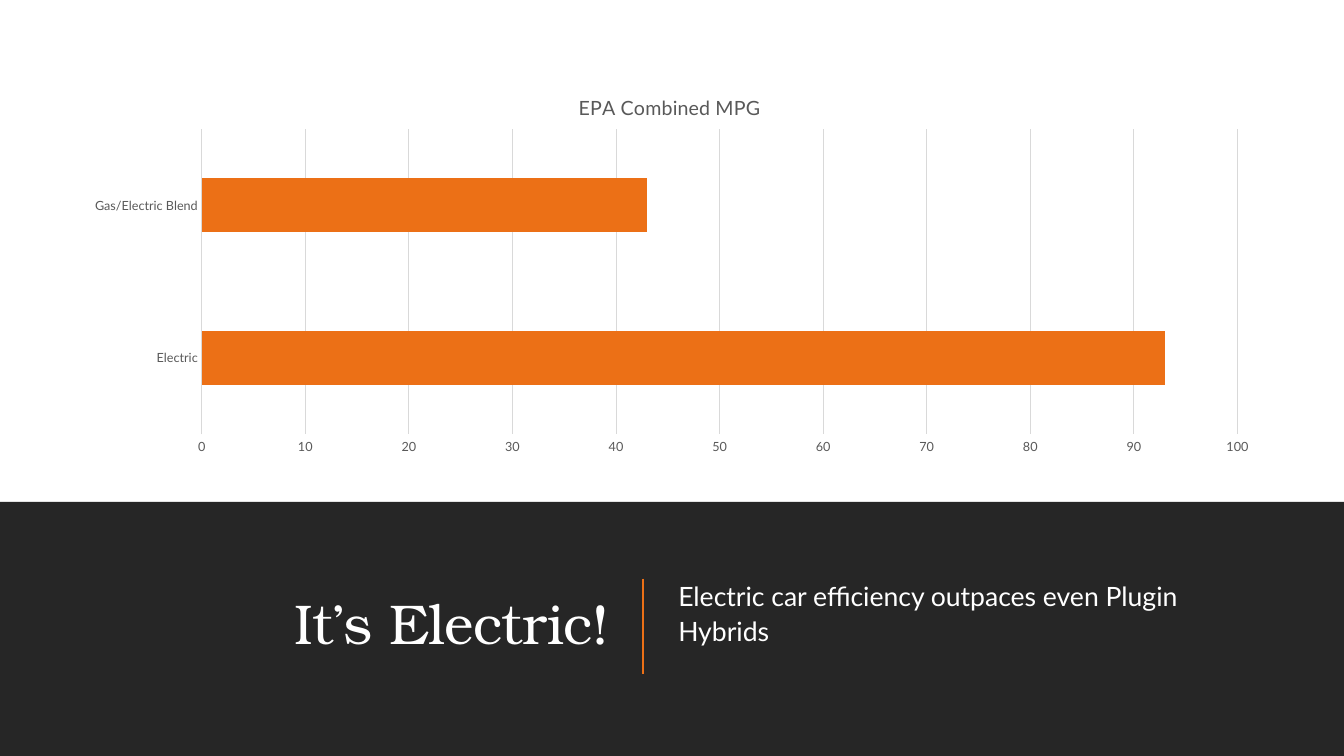
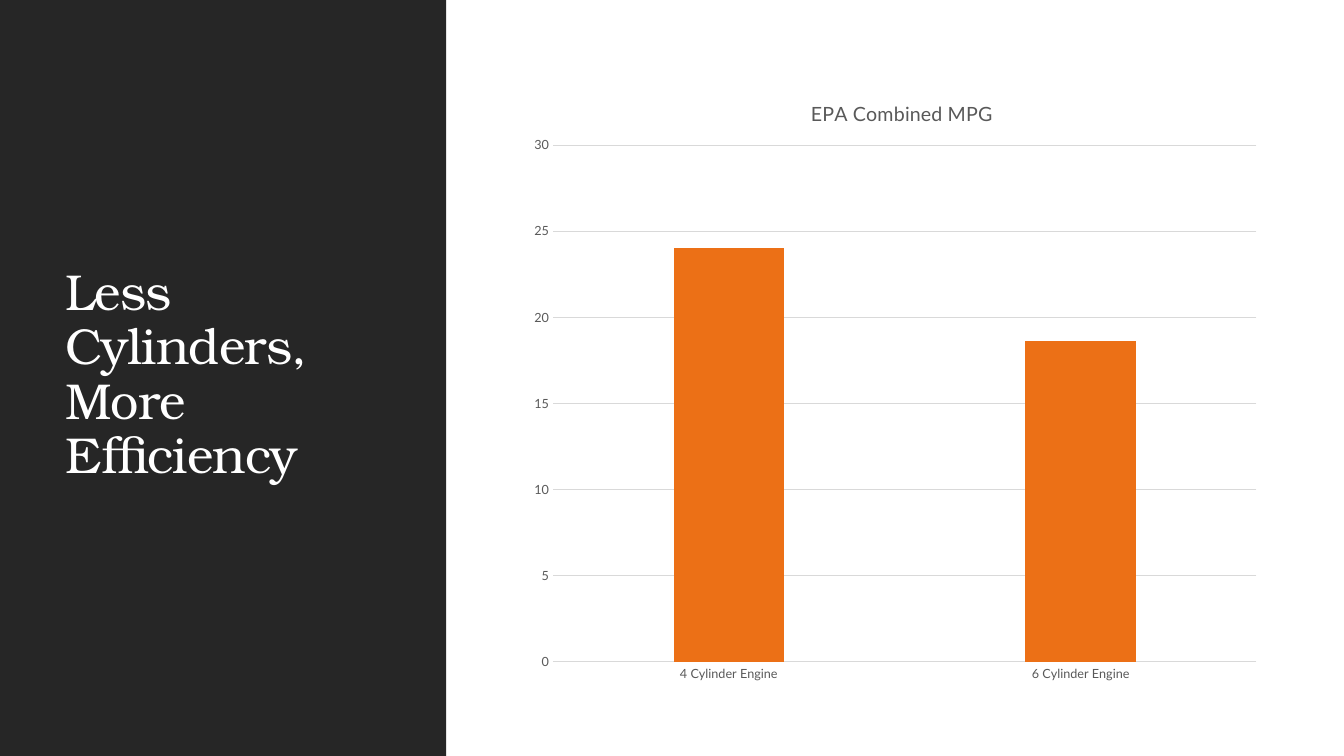
from dataclasses import dataclass

from lxml import etree
from pptx import Presentation
from pptx.chart.data import CategoryChartData
from pptx.dml.color import RGBColor
from pptx.enum.chart import XL_CHART_TYPE, XL_TICK_MARK
from pptx.enum.shapes import MSO_CONNECTOR, MSO_SHAPE
from pptx.enum.text import MSO_ANCHOR, PP_ALIGN
from pptx.oxml.ns import qn
from pptx.util import Pt

PX = 9525


@dataclass(frozen=True)
class Theme:
    dark: RGBColor = RGBColor(0x26, 0x26, 0x26)
    white: RGBColor = RGBColor(0xFF, 0xFF, 0xFF)
    accent: RGBColor = RGBColor(0xEC, 0x70, 0x16)
    label: RGBColor = RGBColor(0x59, 0x59, 0x59)
    grid: RGBColor = RGBColor(0xD9, 0xD9, 0xD9)
    heading_font: str = "TeX Gyre Bonum"
    body_font: str = "Lato"
    body_size: int = 19
    chart_title_size: int = 14
    axis_size: int = 9


theme = Theme()

slide_specs = [
    {
        "band": (0, 478, 1280, 242),
        "texts": [
            {"text": "It’s Electric!", "box": (66, 515, 524, 163), "inset": 10,
             "font": theme.heading_font, "size": 40, "tracking": "-50",
             "format": {"alignment": PP_ALIGN.RIGHT, "line_spacing": 0.9}},
            {"text": "Electric car efficiency outpaces even Plugin Hybrids",
             "box": (636, 501, 577, 163), "inset": 10,
             "font": theme.body_font, "size": theme.body_size, "tracking": "0",
             "format": {"alignment": PP_ALIGN.LEFT, "line_spacing": 1.1}},
        ],
        "divider": (612, 551, 612, 642),
        "chart": {
            "type": XL_CHART_TYPE.BAR_CLUSTERED, "box": (66, 67, 1147, 373),
            "values": {"Electric": 93, "Gas/Electric Blend": 43},
            "scale": {"minimum_scale": 0, "maximum_scale": 100, "major_unit": 10},
            "bars": {"gap_width": 182},
            "title_at": {"x": 0.42, "y": 0.05},
            "plot_at": {"x": 0.11, "y": 0.15, "w": 0.86, "h": 0.78},
        },
    },
    {
        "band": (0, 0, 425, 720),
        "texts": [
            {"text": "Less Cylinders, More Efficiency", "box": (52, 55, 324, 606),
             "inset": 10, "font": theme.heading_font, "size": 36, "tracking": "-50",
             "format": {"alignment": PP_ALIGN.LEFT, "line_spacing": 0.9}},
        ],
        "divider": None,
        "chart": {
            "type": XL_CHART_TYPE.COLUMN_CLUSTERED, "box": (498, 67, 713, 593),
            "values": {"4 Cylinder Engine": 24, "6 Cylinder Engine": 18.6},
            "scale": {"minimum_scale": 0, "maximum_scale": 30, "major_unit": 5},
            "bars": {"gap_width": 219, "overlap": -27},
            "title_at": {"x": 0.38, "y": 0.04},
            "plot_at": {"x": 0.04, "y": 0.12, "w": 0.94, "h": 0.83},
        },
    },
]


def set_format(target, values):
    for name, value in values.items():
        setattr(target, name, value)


def set_layout(element, fractions, inner=False):
    """Place a chart title or plot area by fractions of the chart's size."""
    for old_layout in element.findall(qn("c:layout")):
        element.remove(old_layout)
    layout = etree.Element(qn("c:layout"))
    manual = etree.SubElement(layout, qn("c:manualLayout"))
    if inner:
        etree.SubElement(manual, qn("c:layoutTarget"), val="inner")
    for key in "xy":
        etree.SubElement(manual, qn(f"c:{key}Mode"), val="edge")
    for key, value in fractions.items():
        etree.SubElement(manual, qn(f"c:{key}"), val=str(value))
    text = element.find(qn("c:tx"))
    element.insert(0 if text is None else element.index(text) + 1, layout)


presentation = Presentation()
set_format(presentation, {"slide_width": 1280 * PX, "slide_height": 720 * PX})

for content in slide_specs:
    slide = presentation.slides.add_slide(presentation.slide_layouts[6])

    band = slide.shapes.add_shape(MSO_SHAPE.RECTANGLE, *(n * PX for n in content["band"]))
    band.shadow.inherit = False
    band.fill.solid()
    band.fill.fore_color.rgb = theme.dark
    band.line.fill.background()

    for item in content["texts"]:
        text_box = slide.shapes.add_textbox(*(n * PX for n in item["box"]))
        set_format(text_box.text_frame, {
            "word_wrap": True, "vertical_anchor": MSO_ANCHOR.MIDDLE,
            "margin_left": item["inset"] * PX,
            "margin_right": 0 if item["font"] == theme.body_font else item["inset"] * PX,
        })
        paragraph = text_box.text_frame.paragraphs[0]
        set_format(paragraph, item["format"])
        run = paragraph.add_run()
        run.text = item["text"]
        set_format(run.font, {"name": item["font"], "size": Pt(item["size"])})
        run.font.color.rgb = theme.white
        run.font._element.set("spc", item["tracking"])

    if content["divider"]:
        divider = slide.shapes.add_connector(
            MSO_CONNECTOR.STRAIGHT, *(n * PX for n in content["divider"]))
        divider.line.color.rgb = theme.accent
        divider.line.width = Pt(1.5)
        etree.SubElement(divider._element.spPr, qn("a:effectLst"))

    chart_spec = content["chart"]
    chart_data = CategoryChartData()
    chart_data.categories = list(chart_spec["values"])
    chart_data.add_series("Series 1", list(chart_spec["values"].values()))
    chart = slide.shapes.add_chart(
        chart_spec["type"], *(n * PX for n in chart_spec["box"]), chart_data).chart
    set_format(chart, {"has_legend": False, "has_title": True})
    set_format(chart.font, {"name": theme.body_font, "size": Pt(10)})

    title_frame = chart.chart_title.text_frame
    title_frame.text = "EPA Combined MPG"
    title_font = title_frame.paragraphs[0].runs[0].font
    set_format(title_font, {
        "name": theme.body_font, "size": Pt(theme.chart_title_size), "bold": False})
    title_font.color.rgb = theme.label
    set_layout(chart.chart_title._element, chart_spec["title_at"])

    plot = chart.plots[0]
    set_format(plot, {"vary_by_categories": False, **chart_spec["bars"]})
    bar_fill = plot.series[0].format.fill
    bar_fill.solid()
    bar_fill.fore_color.rgb = theme.accent
    set_layout(chart._chartSpace.chart.plotArea, chart_spec["plot_at"], inner=True)

    category_axis, value_axis = chart.category_axis, chart.value_axis
    for axis in (category_axis, value_axis):
        set_format(axis, {"major_tick_mark": XL_TICK_MARK.NONE,
                          "minor_tick_mark": XL_TICK_MARK.NONE})
        axis_font = axis.tick_labels.font
        set_format(axis_font, {"name": theme.body_font, "size": Pt(theme.axis_size)})
        axis_font.color.rgb = theme.label
    set_format(value_axis, {"has_major_gridlines": True, **chart_spec["scale"]})
    value_axis.format.line.fill.background()
    for line in (category_axis.format.line, value_axis.major_gridlines.format.line):
        line.color.rgb = theme.grid
        line.width = Pt(0.75)

presentation.save("out.pptx")
